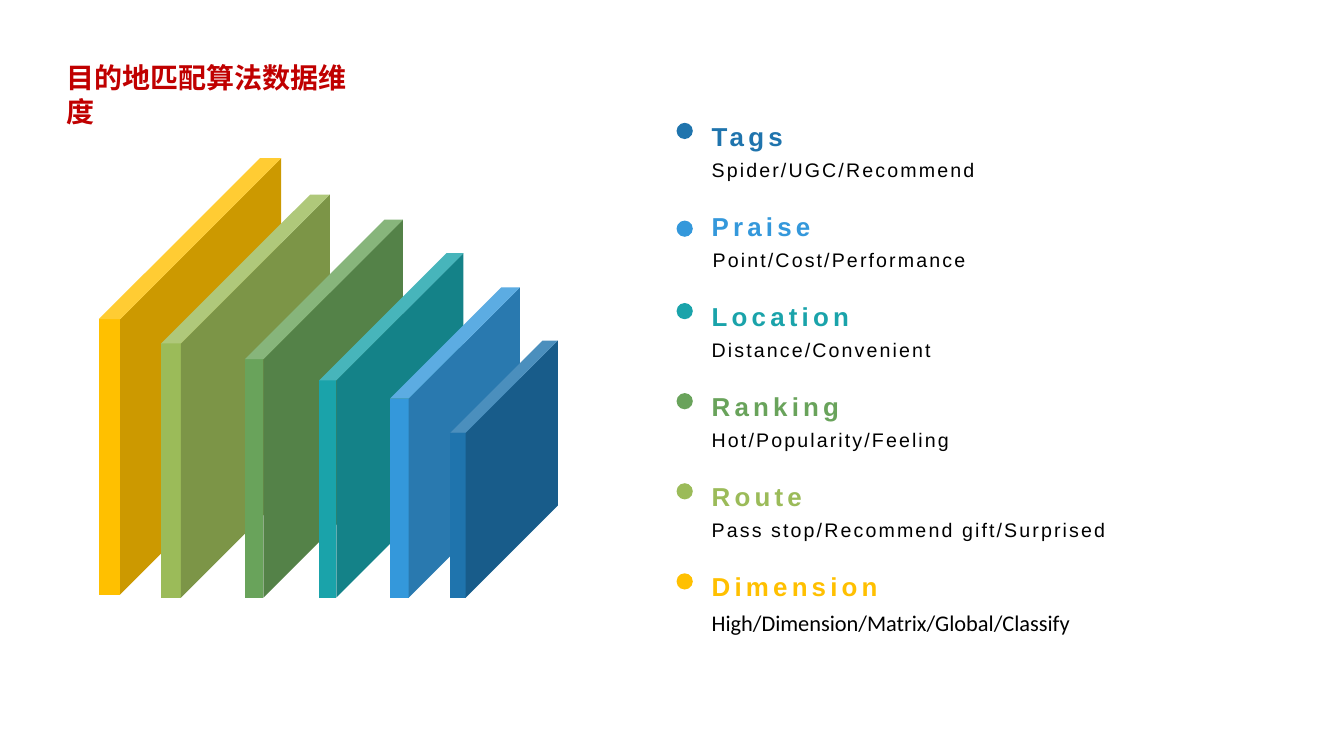
from dataclasses import dataclass

from pptx import Presentation
from pptx.dml.color import RGBColor
from pptx.enum.shapes import MSO_SHAPE as SHAPE
from pptx.enum.text import MSO_ANCHOR as ANCHOR, MSO_AUTO_SIZE as AUTO, PP_ALIGN as ALIGN
from pptx.util import Inches, Pt

# name, colour, detail, dot top (% of row), detail left (% of list)
DIMENSIONS = [
    ("Tags", "1F74AD", "Spider/UGC/Recommend", 13.4, 4.43),
    ("Praise", "3498DB", "Point/Cost/Performance", 21.9, 4.61),
    ("Location", "1AA3AA", "Distance/Convenient", 13.4, 4.43),
    ("Ranking", "69A35B", "Hot/Popularity/Feeling", 13.4, 4.43),
    ("Route", "9BBB59", "Pass stop/Recommend gift/Surprised", 13.4, 4.43),
    ("Dimension", "FFC000", "High/Dimension/Matrix/Global/Classify", 13.4, 4.43),
]
# left, height, lift above the base line (% of stage), depth, from back to front
SLABS = [
    (0, 99.3, 0.7, 0.883),
    (13.6, 91.7, 0, 0.883),
    (31.8, 86, 0, 0.883),
    (48, 78.4, 0, 0.883),
    (63.4, 70.6, 0, 0.857),
    (76.5, 58.5, 0, 0.857),
]
SLAB_RATIO = 0.418  # width to height


@dataclass
class Box:
    x: float
    y: float
    w: float
    h: float

    def inner(self, x, y, w, h):
        """Box inside this one, in percent of its size."""
        return Box(self.x + self.w * x / 100, self.y + self.h * y / 100,
                   self.w * w / 100, self.h * h / 100)

    def emu(self):
        return [round(v) for v in (self.x, self.y, self.w, self.h)]


def rgb(value):
    return RGBColor.from_string(value)


def style(font, name, size, color, bold=False):
    font.name, font.size, font.bold = name, Pt(size), bold
    font.color.rgb = rgb(color)


def add_solid(s, kind, box, color):
    sp = s.shapes.add_shape(kind, *box.emu())
    sp.shadow.inherit = False
    sp.fill.solid()
    sp.fill.fore_color.rgb = rgb(color)
    sp.line.fill.background()
    return sp


def add_line(s, box, text, anchor, spacing, tracking, *look):
    tf = s.shapes.add_textbox(*box.emu()).text_frame
    tf.word_wrap, tf.vertical_anchor = True, anchor
    bottom = anchor == ANCHOR.BOTTOM
    tf.margin_top, tf.margin_bottom = Inches(0.05 * bottom), Inches(0.05 * (not bottom))
    p = tf.paragraphs[0]
    p.line_spacing = spacing
    style(p.font, *look)
    r = p.add_run()
    r.text = text
    # Letter spacing
    if tracking:
        r._r.get_or_add_rPr().set("spc", str(round(tracking * 100)))


def add_title(s, box):
    sp = s.shapes.title
    sp.left, sp.top, sp.width, sp.height = box.emu()
    tf = sp.text_frame
    tf.text = "目的地匹配算法数据维度"
    tf.word_wrap, tf.auto_size = False, AUTO.SHAPE_TO_FIT_TEXT
    tf.vertical_anchor = ANCHOR.TOP
    p = tf.paragraphs[0]
    p.alignment = ALIGN.LEFT
    style(p.font, "Calibri", 20, "C00000", True)


def add_list(s, box):
    row_share = 100 / len(DIMENSIONS)
    for i, (name, color, detail, dot_top, detail_left) in enumerate(DIMENSIONS):
        row = box.inner(0, i * row_share, 100, row_share)
        # Bullet dot
        dot = row.inner(0, dot_top, 0, 18)
        dot.w = dot.h
        add_solid(s, SHAPE.OVAL, dot, color)
        # Heading and detail
        add_line(s, row.inner(4.43, 0, 95.57, 45), name, ANCHOR.BOTTOM, 1.1, 3,
                 "Arial", 18.5, color, True)
        last = i == len(DIMENSIONS) - 1
        look = (0, "Calibri", 16) if last else (1.5, "Arial", 14)
        add_line(s, row.inner(detail_left, 47, 95.57, 45), detail, ANCHOR.TOP, 1.2,
                 *look, "000000")


def add_slabs(s, box):
    # Back slab takes the last list colour
    for (left, height, lift, depth), dimension in zip(SLABS, reversed(DIMENSIONS)):
        slab = box.inner(left, 100 - height - lift, 0, height)
        slab.w = slab.h * SLAB_RATIO
        add_solid(s, SHAPE.CUBE, slab, dimension[1]).adjustments[0] = depth


prs = Presentation()
prs.slide_width, prs.slide_height = Inches(13.33), Inches(7.5)
s = prs.slides.add_slide(prs.slide_layouts[5])
page = Box(0, 0, prs.slide_width, prs.slide_height)
add_list(s, page.inner(50.34, 14.65, 42.31, 71.5))
add_slabs(s, page.inner(7.35, 20.93, 34.2, 58.13))
add_title(s, page.inner(4.2, 7.33, 24.46, 5.87))
prs.save("out.pptx")
